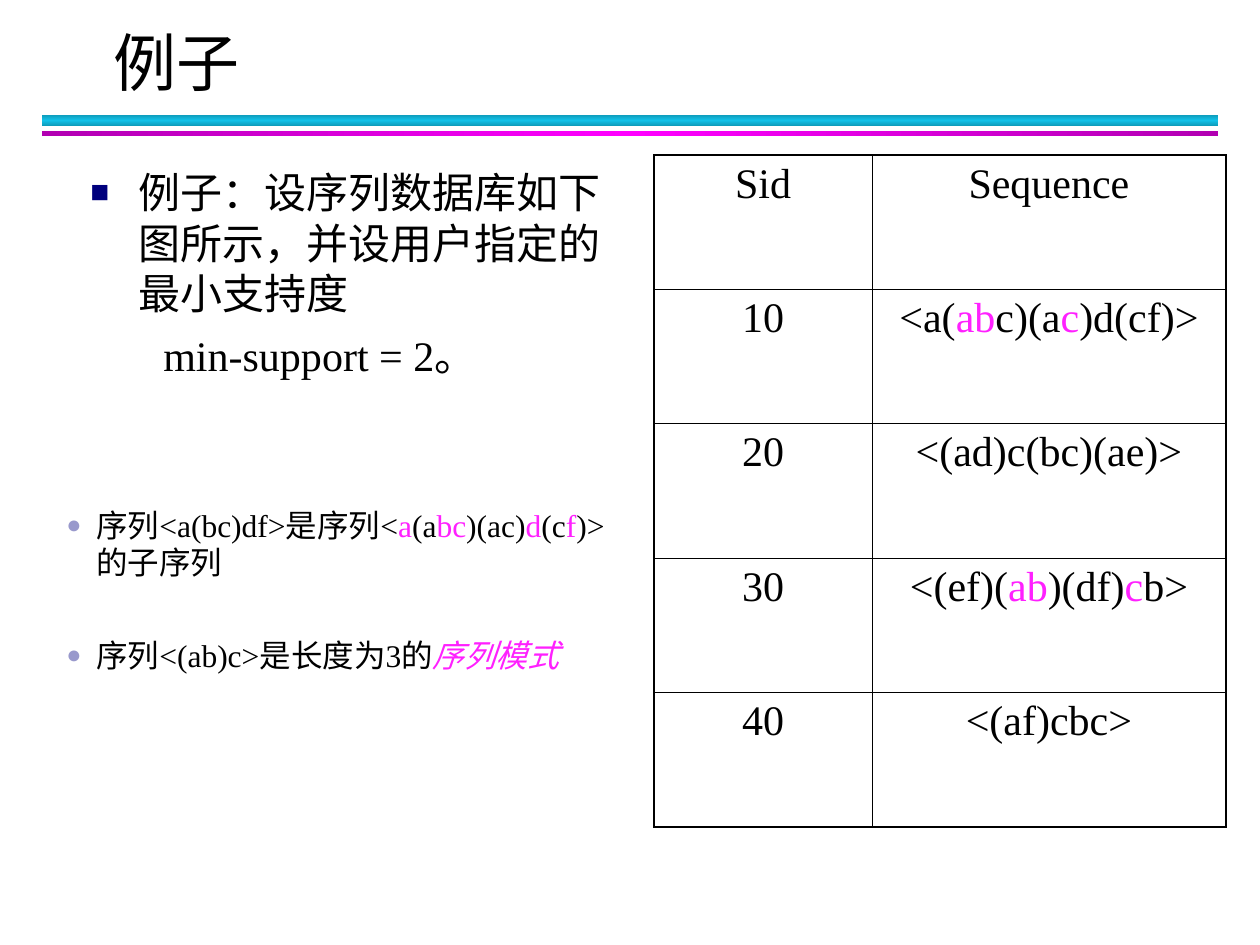
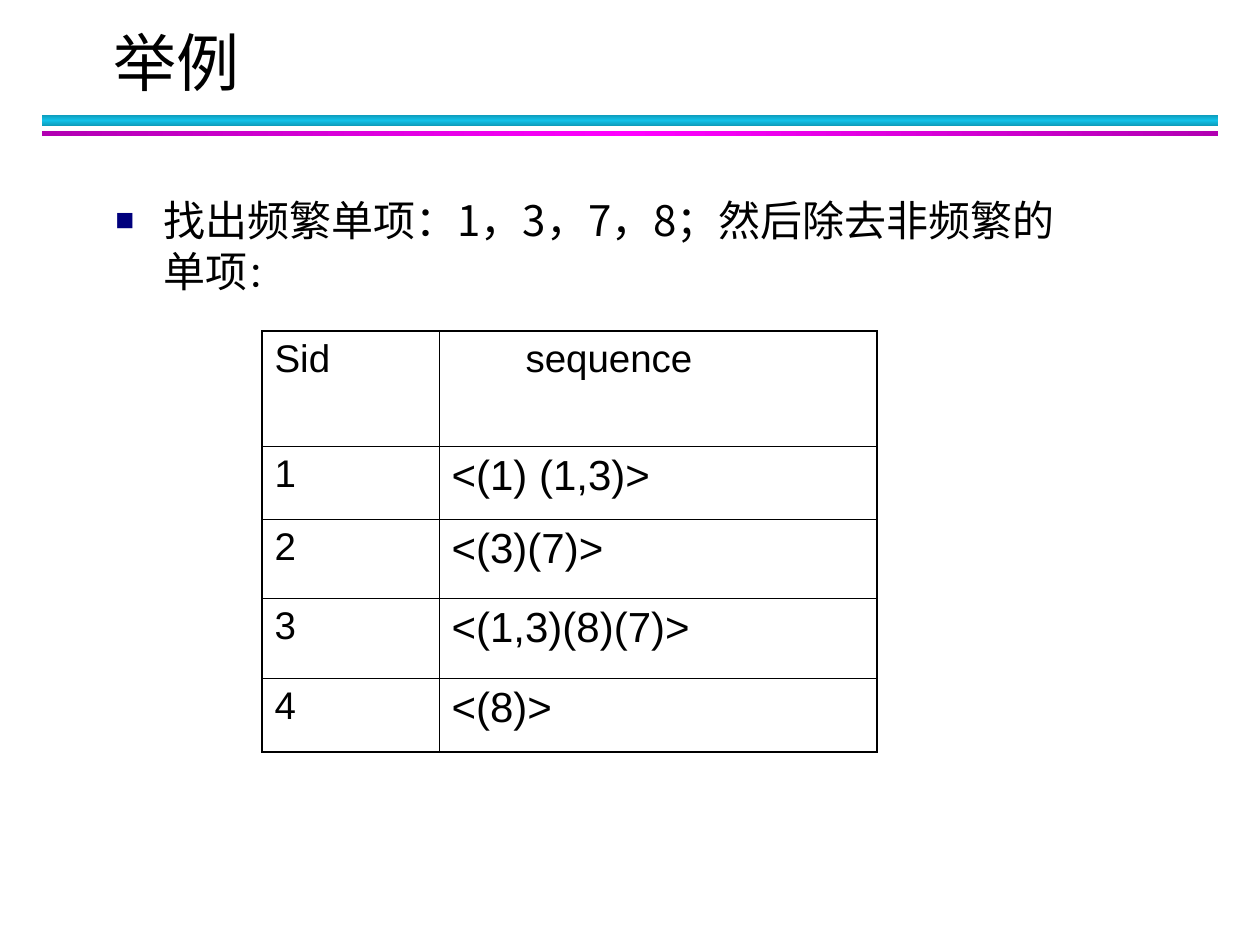
import copy

import pptx
import pptx.dml.color
import pptx.enum.shapes
import pptx.enum.text
import pptx.oxml
import pptx.oxml.ns
import pptx.util

EMU_PER_PX = 914400 / 126

BLACK = pptx.dml.color.RGBColor(0x00, 0x00, 0x00)
PINK = pptx.dml.color.RGBColor(0xFF, 0x20, 0xFF)
NAVY = pptx.dml.color.RGBColor(0x00, 0x00, 0x7D)
LAVENDER = pptx.dml.color.RGBColor(0x99, 0x99, 0xCC)
TEAL = pptx.dml.color.RGBColor(0x0E, 0x9B, 0xBA)
CYAN = pptx.dml.color.RGBColor(0x12, 0xC2, 0xE9)
PURPLE = pptx.dml.color.RGBColor(0xB2, 0x00, 0xB2)
MAGENTA = pptx.dml.color.RGBColor(0xFF, 0x00, 0xFF)

CJK = "Noto Sans CJK SC"
SERIF = "Times New Roman"
SANS = "Arial"

LEFT = pptx.enum.text.PP_ALIGN.LEFT
CENTER = pptx.enum.text.PP_ALIGN.CENTER
SQUARE = {"char": "■", "color": NAVY, "percent": 75}
DOT = {"char": "●", "color": LAVENDER, "percent": 80}
PINK_TEXT = {"color": PINK}
OUTER, INNER = 1, 0.5  # table border widths in points


def px(length):
    return pptx.util.Emu(round(length * EMU_PER_PX))


def pt(size):
    return pptx.util.Pt(size)


def add_xml(parent, xml):
    """Append a DrawingML element written with the a: prefix."""
    head, rest = xml.split(" ", 1)
    parent.append(pptx.oxml.parse_xml(
        f"{head} {pptx.oxml.ns.nsdecls('a')} {rest}"))


# Text
def format_run(run, values):
    for name, value in values.items():
        if name == "color":
            run.font.color.rgb = value
        else:
            setattr(run.font, name, value)


def write(paragraph, text, style, accent=PINK_TEXT):
    """Write text; the parts in [square brackets] take the accent format."""
    for index, piece in enumerate(text.replace("]", "[").split("[")):
        if piece:
            run = paragraph.add_run()
            run.text = piece
            values = {"color": BLACK, **style}
            format_run(run, {**values, **accent} if index % 2 else values)
            add_xml(run.font._element, f'<a:ea typeface="{CJK}"/>')


def indent(paragraph, margin, hanging=0):
    properties = paragraph._p.get_or_add_pPr()
    properties.set("marL", str(px(margin)))
    properties.set("indent", str(-px(hanging)))
    return properties


def add_bullet(paragraph, bullet, margin):
    properties = indent(paragraph, margin, margin)
    add_xml(properties,
            f'<a:buClr ><a:srgbClr val="{bullet["color"]}"/></a:buClr>')
    add_xml(properties, f'<a:buSzPct val="{bullet["percent"] * 1000}"/>')
    add_xml(properties, f'<a:buFont typeface="{SANS}"/>')
    add_xml(properties, f'<a:buChar char="{bullet["char"]}"/>')


def add_text(slide, box, style, line_height, items):
    """Each item has text and margin, and may have bullet, before, accent."""
    frame = slide.shapes.add_textbox(*map(px, box)).text_frame
    frame.word_wrap = True
    for index, item in enumerate(items):
        paragraph = frame.add_paragraph() if index else frame.paragraphs[0]
        if "bullet" in item:
            add_bullet(paragraph, item["bullet"], item["margin"])
        else:
            indent(paragraph, item["margin"])
        paragraph.line_spacing = pt(line_height)
        paragraph.space_before = pt(item.get("before", 0))
        write(paragraph, item["text"], style, item.get("accent", PINK_TEXT))


# Shared slide frame: two gradient bands and the title
def add_band(slide, top, height, edge, middle, angle):
    band = slide.shapes.add_shape(pptx.enum.shapes.MSO_SHAPE.RECTANGLE,
                                  px(42), px(top), px(1176), px(height))
    band.shadow.inherit = False
    band.line.fill.background()
    band.fill.gradient()
    band.fill.gradient_angle = angle
    stops = band._element.find(".//" + pptx.oxml.ns.qn("a:gsLst"))
    stops.append(copy.deepcopy(stops[0]))
    colors = (edge, middle, edge)
    for index, stop in enumerate(band.fill.gradient_stops):
        stop.position = index / 2
        stop.color.rgb = colors[index]


def add_slide(deck, heading):
    slide = deck.slides.add_slide(deck.slide_layouts.get_by_name("Title Only"))
    add_band(slide, 115, 11, TEAL, CYAN, 90)
    add_band(slide, 131, 5, PURPLE, MAGENTA, 0)
    title = slide.shapes.title
    title.left, title.top, title.width, title.height = map(
        px, (101, 23, 1134, 76))
    frame = title.text_frame
    frame.auto_size = pptx.enum.text.MSO_AUTO_SIZE.NONE
    frame.vertical_anchor = pptx.enum.text.MSO_ANCHOR.MIDDLE
    frame.paragraphs[0].alignment = LEFT
    write(frame.paragraphs[0], heading, {"name": CJK, "size": pt(36)})
    return slide


# Tables
def set_borders(cell, widths):
    properties = cell._tc.get_or_add_tcPr()
    for side, width in widths.items():
        add_xml(properties, f'<a:ln{side} w="{pt(width)}"><a:solidFill>'
                f'<a:srgbClr val="{BLACK}"/></a:solidFill></a:ln{side}>')


def add_sequence_table(slide, corner, columns, heights, rows, styles, align):
    """Fill a ruled table; styles holds the header and then column formats."""
    size = (sum(columns), sum(heights))
    table = slide.shapes.add_table(len(rows), len(columns),
                                   *map(px, corner + size)).table
    table.first_row = table.horz_banding = False
    for column, width in zip(table.columns, columns):
        column.width = px(width)
    for row, height in zip(table.rows, heights):
        row.height = px(height)
    last_row, last_column = len(rows) - 1, len(columns) - 1
    for r, texts in enumerate(rows):
        for c, text in enumerate(texts):
            cell = table.cell(r, c)
            set_borders(cell, {
                "L": INNER if c else OUTER,
                "R": OUTER if c == last_column else INNER,
                "T": INNER if r else OUTER,
                "B": OUTER if r == last_row else INNER,
            })
            cell.fill.background()
            paragraph = cell.text_frame.paragraphs[0]
            paragraph.alignment = align
            write(paragraph, text, styles[c + 1] if r else styles[0])
    return table


def build_example(deck):
    slide = add_slide(deck, "例子")
    serif = {"name": SERIF, "size": pt(24)}
    add_text(slide, (78, 160, 542, 240), serif, 29, [
        {"text": "例子：设序列数据库如下图所示，并设用户指定的最小支持度",
         "bullet": SQUARE, "margin": 48},
        {"text": "min-support = 2。", "margin": 73, "before": 6},
    ])
    add_sequence_table(
        slide, (654, 155), (218, 354), (134, 134, 135, 134, 135), [
            ("Sid", "Sequence"),
            ("10", "<a([ab]c)(a[c])d(cf)>"),
            ("20", "<(ad)c(bc)(ae)>"),
            ("30", "<(ef)([ab])(df)[c]b>"),
            ("40", "<(af)cbc>"),
        ], (serif, serif, serif), CENTER)
    add_text(slide, (54, 501, 591, 218), {**serif, "size": pt(18)}, 21, [
        {"text": "序列<a(bc)df>是序列<[a](a[bc])(ac)[d](c[f])>的子序列",
         "bullet": DOT, "margin": 30},
        {"text": "序列<(ab)c>是长度为3的[序列模式]", "bullet": DOT,
         "margin": 30, "before": 32,
         "accent": {"color": PINK, "italic": True}},
    ])


def build_frequent_items(deck):
    slide = add_slide(deck, "举例")
    add_text(slide, (103, 188, 973, 130), {"name": CJK, "size": pt(24)}, 29, [
        {"text": "找出频繁单项：1，3，7，8；然后除去非频繁的单项[：]",
         "bullet": SQUARE, "margin": 48, "accent": {"size": pt(20)}},
    ])
    label = {"name": SANS, "size": pt(22)}
    sequence = {"name": SANS, "size": pt(24)}
    table = add_sequence_table(
        slide, (262, 331), (177, 438), (115, 73, 79, 80, 74), [
            ("Sid", "sequence"),
            ("1", "<(1) (1,3)>"),
            ("2", "<(3)(7)>"),
            ("3", "<(1,3)(8)(7)>"),
            ("4", "<(8)>"),
        ], (label, label, sequence), LEFT)
    indent(table.cell(0, 1).text_frame.paragraphs[0], 74)


def main():
    deck = pptx.Presentation()
    deck.slide_width, deck.slide_height = px(1260), px(945)
    build_example(deck)
    build_frequent_items(deck)
    deck.save("out.pptx")


if __name__ == "__main__":
    main()
